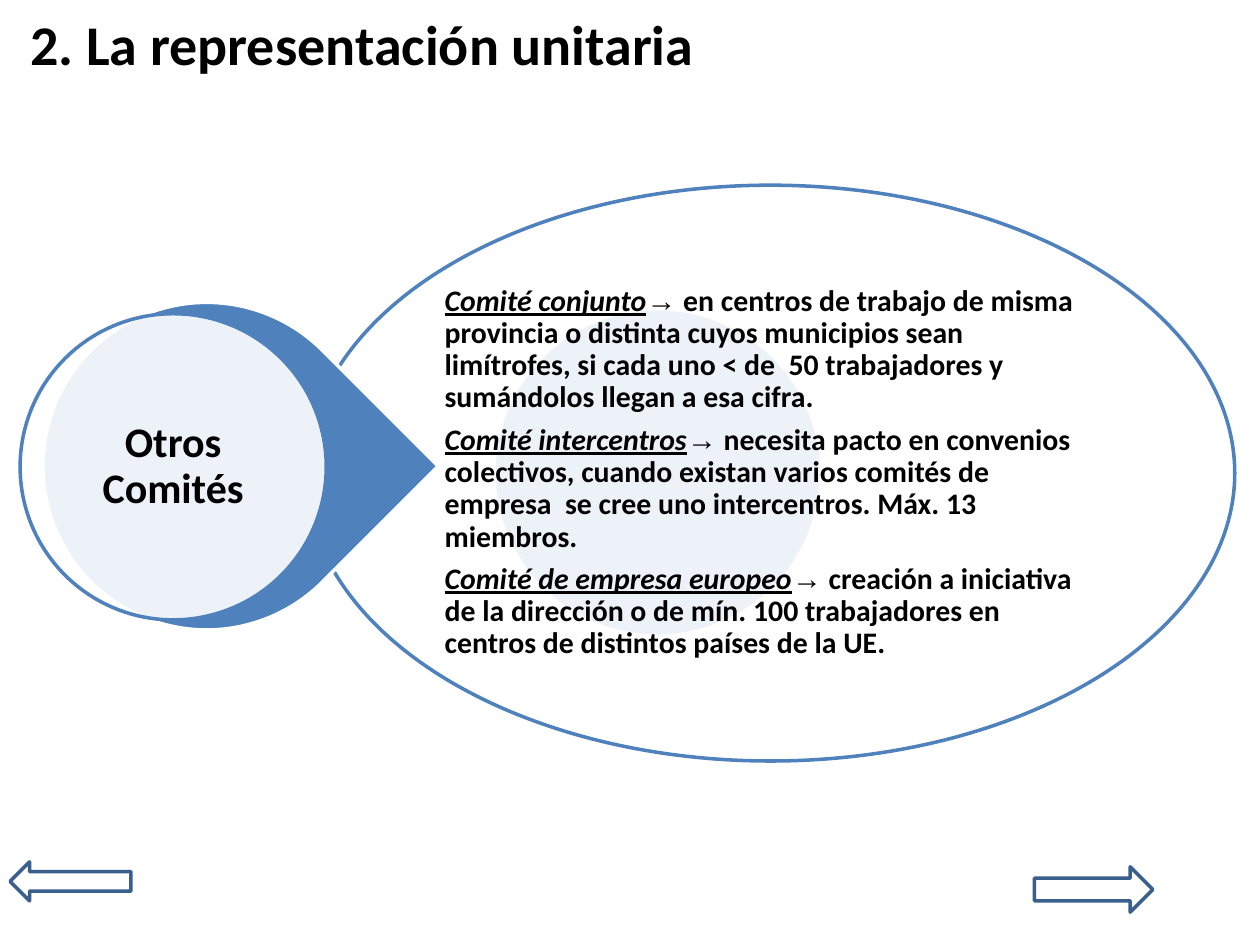
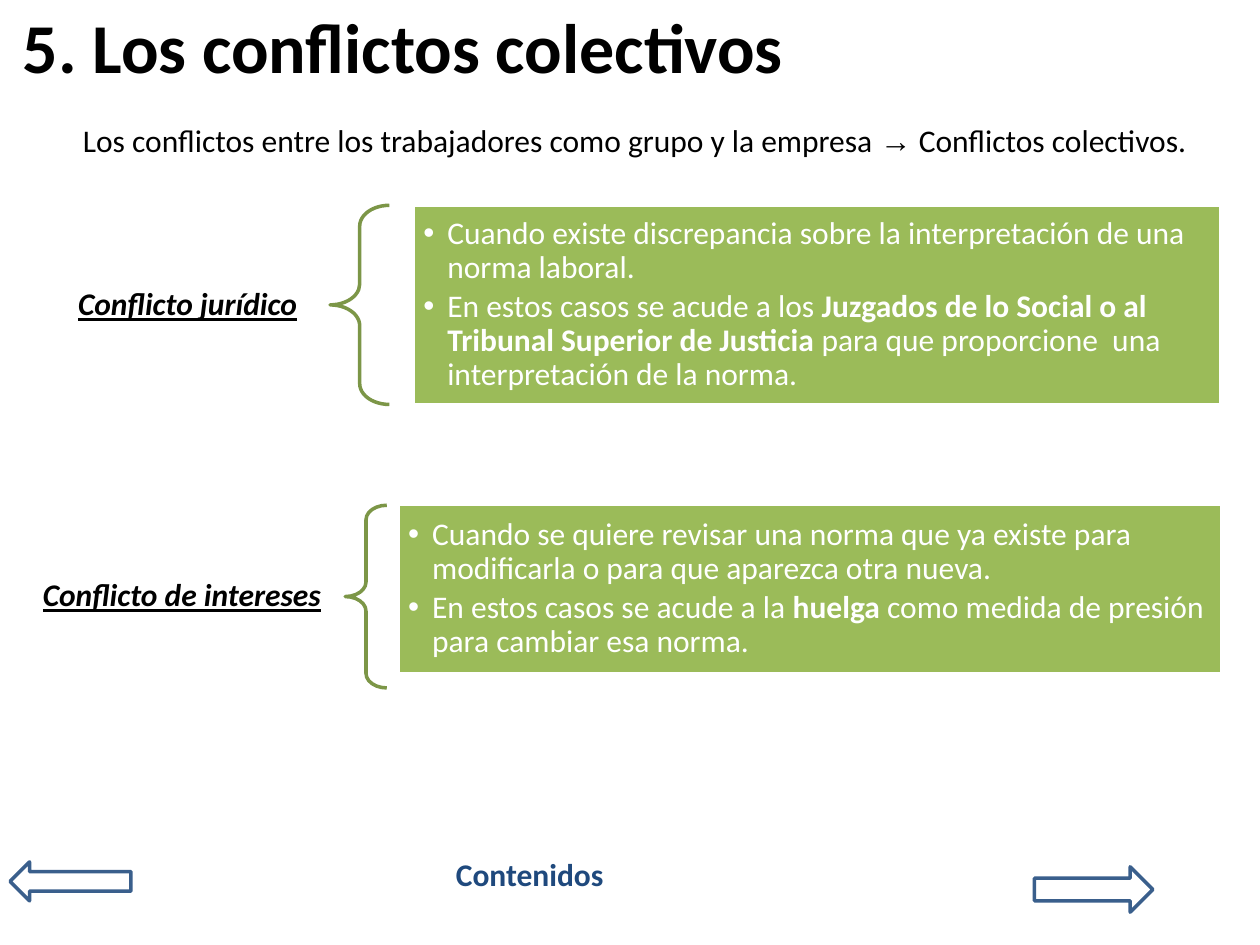
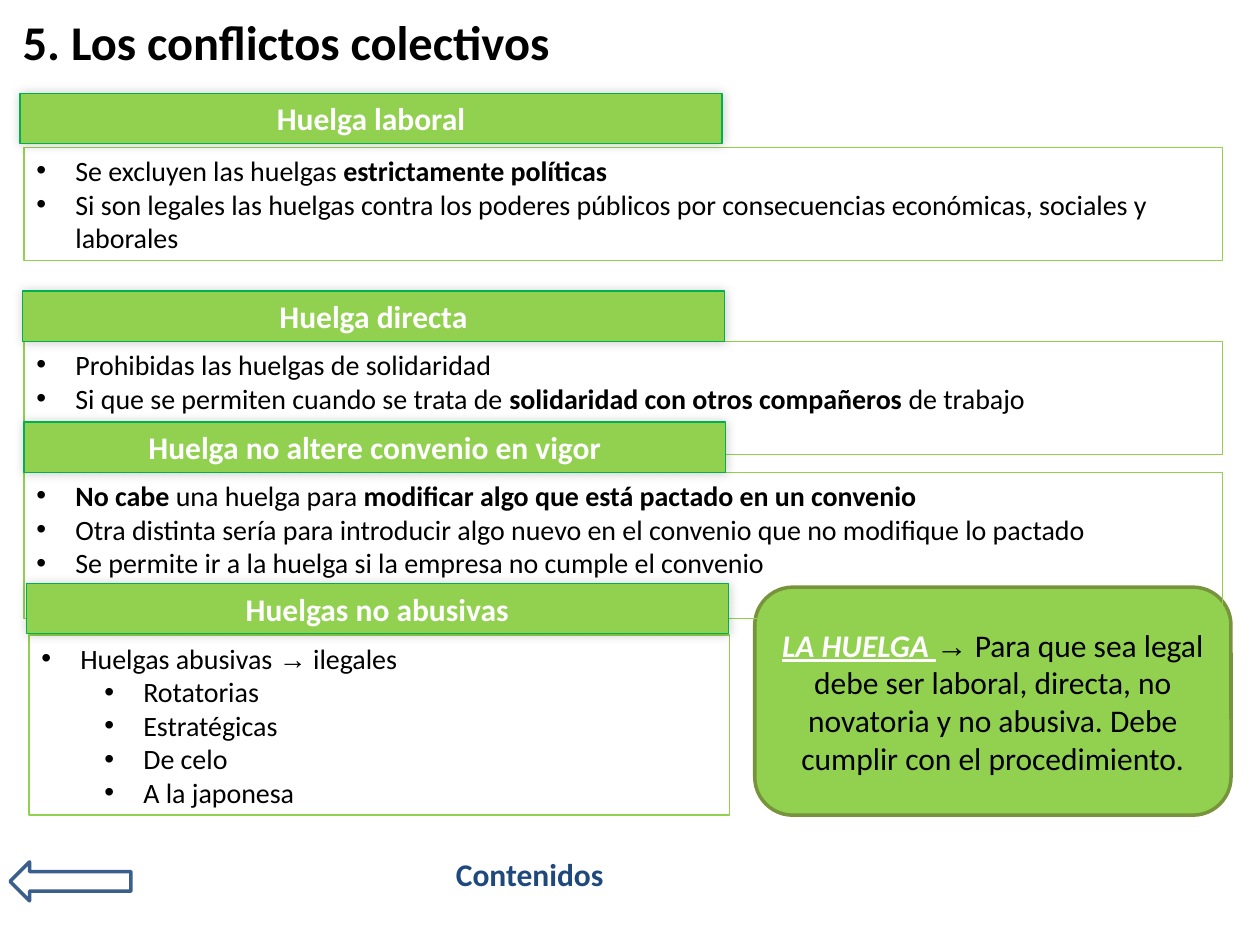
from dataclasses import dataclass, replace
from typing import NamedTuple, Optional

from lxml.etree import SubElement
from pptx import Presentation
from pptx.dml.color import RGBColor
from pptx.enum.shapes import MSO_SHAPE
from pptx.enum.text import MSO_ANCHOR, MSO_AUTO_SIZE, PP_ALIGN
from pptx.oxml.ns import qn
from pptx.util import Inches, Pt


@dataclass(frozen=True)
class Theme:
    """Colours, fonts and type sizes of the deck."""
    font: str = "Calibri"
    sign: str = "Arial"
    black: str = "000000"
    white: str = "FFFFFF"
    blue: str = "4F81BD"
    navy: str = "1F497D"
    steel: str = "3A5F8C"
    green: str = "9BBB59"
    olive: str = "7C9647"
    moss: str = "77933C"
    lime: str = "92D050"
    leaf: str = "00B050"
    item: float = 16
    note: float = 17
    text: float = 18
    hub: float = 24
    small: float = 27.7
    title: float = 32
    large: float = 40


THEME = Theme()


class Box(NamedTuple):
    """Left, top, width and height in inches."""
    left: float
    top: float
    width: float
    height: float


class Bit(NamedTuple):
    """A stretch of text and how it differs from its paragraph."""
    text: str
    bold: Optional[bool] = None
    key: bool = False
    color: Optional[str] = None


class Para(NamedTuple):
    """A paragraph: its bits, its level and its bullet indent."""
    bits: tuple
    level: int = 0
    left: float = 0
    hang: float = 0


@dataclass(frozen=True)
class Style:
    """The look of the text in one box."""
    size: float
    color: str = THEME.black
    bold: bool = False
    key: bool = False
    align: PP_ALIGN = PP_ALIGN.LEFT
    anchor: MSO_ANCHOR = MSO_ANCHOR.MIDDLE
    line: Optional[float] = None
    after: float = 0
    inset: tuple = (0.1, 0.05)


class Paint(NamedTuple):
    """Fill, opacity, outline and outline width of a shape."""
    fill: Optional[str] = None
    alpha: int = 100
    line: Optional[str] = None
    width: float = 2


class Rule(NamedTuple):
    """One kind of conflict: label, brace and list."""
    name: str
    label: Box
    brace: Box
    panel: Box
    items: tuple


class Strike(NamedTuple):
    """One strike requirement: heading and list."""
    name: str
    head: Box
    panel: Box
    items: tuple


LINK = Style(THEME.text, THEME.navy, bold=True, anchor=MSO_ANCHOR.TOP)
LEAD = Style(THEME.text, anchor=MSO_ANCHOR.TOP)
NOTE = Style(THEME.note, bold=True, line=0.9, after=6, inset=(0.02, 0.02))
HUB = Style(THEME.hub, bold=True, align=PP_ALIGN.CENTER, line=0.9, after=8.4,
            inset=(0.03, 0.03))
LABEL = Style(THEME.text, bold=True, key=True, line=0.9, after=6.3,
              inset=(0.14, 0.05))
CASE = Style(THEME.text, THEME.white, line=0.9, after=2.7, inset=(0.08, 0.08))
ITEM = Style(THEME.item, anchor=MSO_ANCHOR.TOP)
HEAD = replace(LINK, color=THEME.white, align=PP_ALIGN.CENTER)
CALL = Style(THEME.text, align=PP_ALIGN.CENTER)

SOLID = Paint(THEME.blue, line=THEME.white)
GLASS = Paint(THEME.white, 90, THEME.blue)


def plain(text: str) -> tuple:
    """Make a single paragraph without bullet."""
    return (Para((Bit(text),)),)


def case(*bits: Bit) -> Para:
    """Make a bullet of a conflict list."""
    return Para(bits, 1, 0.19, 0.19)


def item(*bits: Bit, level: int = 0) -> Para:
    """Make a bullet of a strike list."""
    return Para(bits, level, 0.31 + 0.5 * level, 0.31)


def term(name: str, text: str) -> Para:
    """Make a defined term followed by its meaning."""
    return Para((Bit(name, key=True), Bit("→ " + text)))


def place(shape, box: Box) -> None:
    """Move a shape to a box."""
    shape.left, shape.top, shape.width, shape.height = map(Inches, box)


def mark(para, left: float, hang: float, color: str) -> None:
    """Give a paragraph a hanging round bullet."""
    props = para._p.get_or_add_pPr()
    props.set("marL", str(Inches(left)))
    props.set("indent", str(-Inches(hang)))
    tint = SubElement(props, qn("a:buClr"))
    SubElement(tint, qn("a:srgbClr"), val=color)
    SubElement(props, qn("a:buFont"), typeface=THEME.sign)
    SubElement(props, qn("a:buChar"), char="•")


def add_bit(para, bit: Bit) -> None:
    """Add a bit, setting its arrow signs in the sign font."""
    for part in bit.text.replace("→", "|→|").split("|"):
        if not part:
            continue
        run = para.add_run()
        run.text = part
        if part == "→":
            run.font.name = THEME.sign
        if bit.bold is not None:
            run.font.bold = bit.bold
        if bit.key:
            run.font.italic = run.font.underline = True
        if bit.color:
            run.font.color.rgb = RGBColor.from_string(bit.color)


def write(shape, paras: tuple, style: Style) -> None:
    """Fill a shape with styled paragraphs."""
    frame = shape.text_frame
    frame.word_wrap = True
    frame.auto_size = MSO_AUTO_SIZE.NONE
    frame.vertical_anchor = style.anchor
    side, edge = map(Inches, style.inset)
    frame.margin_left = frame.margin_right = side
    frame.margin_top = frame.margin_bottom = edge
    for index, spec in enumerate(paras):
        para = frame.add_paragraph() if index else frame.paragraphs[0]
        para.level = spec.level
        para.alignment = style.align
        if spec.hang:
            mark(para, spec.left, spec.hang, style.color)
        if style.line:
            para.line_spacing = style.line
        para.space_after = Pt(style.after)
        font = para.font
        font.name, font.size, font.bold = THEME.font, Pt(style.size), style.bold
        font.color.rgb = RGBColor.from_string(style.color)
        if style.key:
            font.italic = font.underline = True
        for bit in spec.bits:
            add_bit(para, bit)


def draw(slide, kind: MSO_SHAPE, box: Box, paint: Paint):
    """Draw a preset shape without shadow."""
    shape = slide.shapes.add_shape(kind, *map(Inches, box))
    shape.shadow.inherit = False
    if paint.fill:
        shape.fill.solid()
        shape.fill.fore_color.rgb = RGBColor.from_string(paint.fill)
        if paint.alpha < 100:
            tint = shape.fill._xPr.find(".//" + qn("a:srgbClr"))
            SubElement(tint, qn("a:alpha"), val=str(paint.alpha * 1000))
    else:
        shape.fill.background()
    shape.line.color.rgb = RGBColor.from_string(paint.line)
    shape.line.width = Pt(paint.width)
    return shape


def glow(shape) -> None:
    """Give a shape a soft shadow all round."""
    effect = shape._element.spPr.find(qn("a:effectLst"))
    shade = SubElement(effect, qn("a:outerShdw"), blurRad=str(Pt(6)),
                       dist="0", dir="0", rotWithShape="0")
    tint = SubElement(shade, qn("a:srgbClr"), val=THEME.black)
    SubElement(tint, qn("a:alpha"), val="20000")


def add_text(slide, box: Box, text: str, style: Style) -> None:
    """Add a text box with one paragraph."""
    write(slide.shapes.add_textbox(*map(Inches, box)), plain(text), style)


def start(deck, title: str, size: float, left: float, top: float,
          ahead: bool = True, link: bool = True):
    """Add a slide with its title and footer controls."""
    slide = deck.slides.add_slide(deck.slide_layouts[5])
    place(slide.shapes.title, Box(left, top, 10 - left, 0.63))
    write(slide.shapes.title, plain(title), Style(size, bold=True))
    if link:
        add_text(slide, Box(3.52, 6.74, 1.44, 0.7), "Contenidos", LINK)
    paint = Paint(line=THEME.steel)
    draw(slide, MSO_SHAPE.LEFT_ARROW, Box(0.08, 6.84, 0.96, 0.31), paint)
    if ahead:
        draw(slide, MSO_SHAPE.RIGHT_ARROW, Box(8.21, 6.88, 0.94, 0.36), paint)
    return slide


def add_boards(deck) -> None:
    """Build the slide on other committees."""
    slide = start(deck, "2. La representación unitaria", THEME.title, 0.14, 0.03,
                  link=False)
    draw(slide, MSO_SHAPE.OVAL, Box(3.92, 2.45, 2.6, 2.6), SOLID)
    oval = draw(slide, MSO_SHAPE.OVAL, Box(2.43, 1.47, 7.37, 4.57), GLASS)
    write(oval, (
        term("Comité conjunto", "en centros de trabajo de misma provincia o "
             "distinta cuyos municipios sean limítrofes, si cada uno < de  50 "
             "trabajadores y sumándolos llegan a esa cifra."),
        term("Comité intercentros", "necesita pacto en convenios colectivos, "
             "cuando existan varios comités de empresa  se cree uno "
             "intercentros. Máx. 13 miembros."),
        term("Comité de empresa europeo", "creación a iniciativa de la "
             "dirección o de mín. 100 trabajadores en centros de distintos "
             "países de la UE."),
    ), NOTE)
    drop = draw(slide, MSO_SHAPE.TEAR, Box(0.34, 2.4, 2.6, 2.6), SOLID)
    drop.rotation = 45
    hub = draw(slide, MSO_SHAPE.OVAL, Box(0.16, 2.49, 2.43, 2.43), GLASS)
    write(hub, plain("Otros Comités"), HUB)


RULES = (
    Rule("Conflicto jurídico", Box(0.48, 1.72, 2.14, 1.41),
         Box(2.62, 1.63, 0.47, 1.58), Box(3.28, 1.63, 6.41, 1.58), (
             case(Bit("Cuando existe discrepancia sobre la interpretación de "
                      "una norma laboral.")),
             case(Bit("En estos casos se acude a los "),
                  Bit("Juzgados de lo Social o al Tribunal Superior de "
                      "Justicia ", True),
                  Bit("para que proporcione  una interpretación de la norma.")))),
    Rule("Conflicto de intereses", Box(0.2, 3.98, 2.54, 1.51),
         Box(2.74, 4.01, 0.33, 1.45), Box(3.16, 4, 6.54, 1.35), (
             case(Bit("Cuando se quiere revisar una norma que ya existe para "
                      "modificarla o para que aparezca otra nueva.")),
             case(Bit("En estos casos se acude a la "), Bit("huelga", True),
                  Bit(" como medida de presión para cambiar esa norma.")))),
)


def add_rules(deck) -> None:
    """Build the slide on kinds of conflict."""
    slide = start(deck, "5. Los conflictos colectivos", THEME.large, 0.08, 0.05)
    for rule in RULES:
        add_text(slide, rule.label, rule.name, LABEL)
        brace = draw(slide, MSO_SHAPE.LEFT_BRACE, rule.brace, Paint(line=THEME.olive))
        brace.adjustments[0] = 0.35
        panel = draw(slide, MSO_SHAPE.RECTANGLE, rule.panel,
                     Paint(THEME.green, line=THEME.white))
        write(panel, rule.items, CASE)
    add_text(slide, Box(0.56, 0.91, 9.09, 0.7), "Los conflictos entre los trabajadores "
             "como grupo y la empresa → Conflictos colectivos.", LEAD)


STRIKES = (
    Strike("Huelga laboral", Box(0.16, 0.74, 5.57, 0.4), Box(0.19, 1.17, 9.51, 0.9), (
        item(Bit("Se excluyen las huelgas "), Bit("estrictamente políticas", True)),
        item(Bit("Si son legales las huelgas contra los poderes públicos por "
                 "consecuencias económicas, sociales y laborales")))),
    Strike("Huelga directa", Box(0.18, 2.31, 5.57, 0.4), Box(0.19, 2.71, 9.51, 0.9), (
        item(Bit("Prohibidas las huelgas de solidaridad")),
        item(Bit("Si que se permiten cuando se trata de "),
             Bit("solidaridad con otros compañeros ", True), Bit("de trabajo")))),
    Strike("Huelga no altere convenio en vigor", Box(0.19, 3.35, 5.57, 0.4),
           Box(0.19, 3.75, 9.51, 1.16), (
        item(Bit("No cabe ", True), Bit("una huelga para "),
             Bit("modificar algo que está pactado en un convenio", True)),
        item(Bit("Otra distinta sería para introducir algo nuevo en el convenio "
                 "que no modifique lo pactado")),
        item(Bit("Se permite ir a la huelga si la empresa no cumple el convenio")))),
    Strike("Huelgas no abusivas", Box(0.21, 4.63, 5.57, 0.4), Box(0.23, 5.04, 5.56, 1.43), (
        item(Bit("Huelgas abusivas → ilegales")),
        *(item(Bit(name), level=1) for name in
          ("Rotatorias", "Estratégicas", "De celo", "A la japonesa")))),
)


def add_strikes(deck) -> None:
    """Build the slide on what makes a strike legal."""
    slide = start(deck, "5. Los conflictos colectivos", THEME.small, 0.08, 0.01,
                  ahead=False)
    call = draw(slide, MSO_SHAPE.FLOWCHART_ALTERNATE_PROCESS,
                Box(5.99, 4.66, 3.78, 1.81), Paint(THEME.lime, line=THEME.moss))
    write(call, (Para((
        Bit("LA HUELGA ", True, True, THEME.white),
        Bit("→ Para que sea legal debe ser laboral, directa, no novatoria y no "
            "abusiva. Debe cumplir con el procedimiento."))),), CALL)
    for strike in STRIKES:
        panel = draw(slide, MSO_SHAPE.RECTANGLE, strike.panel,
                     Paint(line=THEME.lime, width=0.75))
        write(panel, strike.items, ITEM)
        head = draw(slide, MSO_SHAPE.RECTANGLE, strike.head,
                    Paint(THEME.lime, line=THEME.leaf, width=0.75))
        glow(head)
        write(head, plain(strike.name), HEAD)


def main() -> None:
    """Build and save the deck."""
    deck = Presentation()
    deck.slide_width, deck.slide_height = Inches(10), Inches(7.5)
    add_boards(deck)
    add_rules(deck)
    add_strikes(deck)
    deck.save("out.pptx")


if __name__ == "__main__":
    main()
